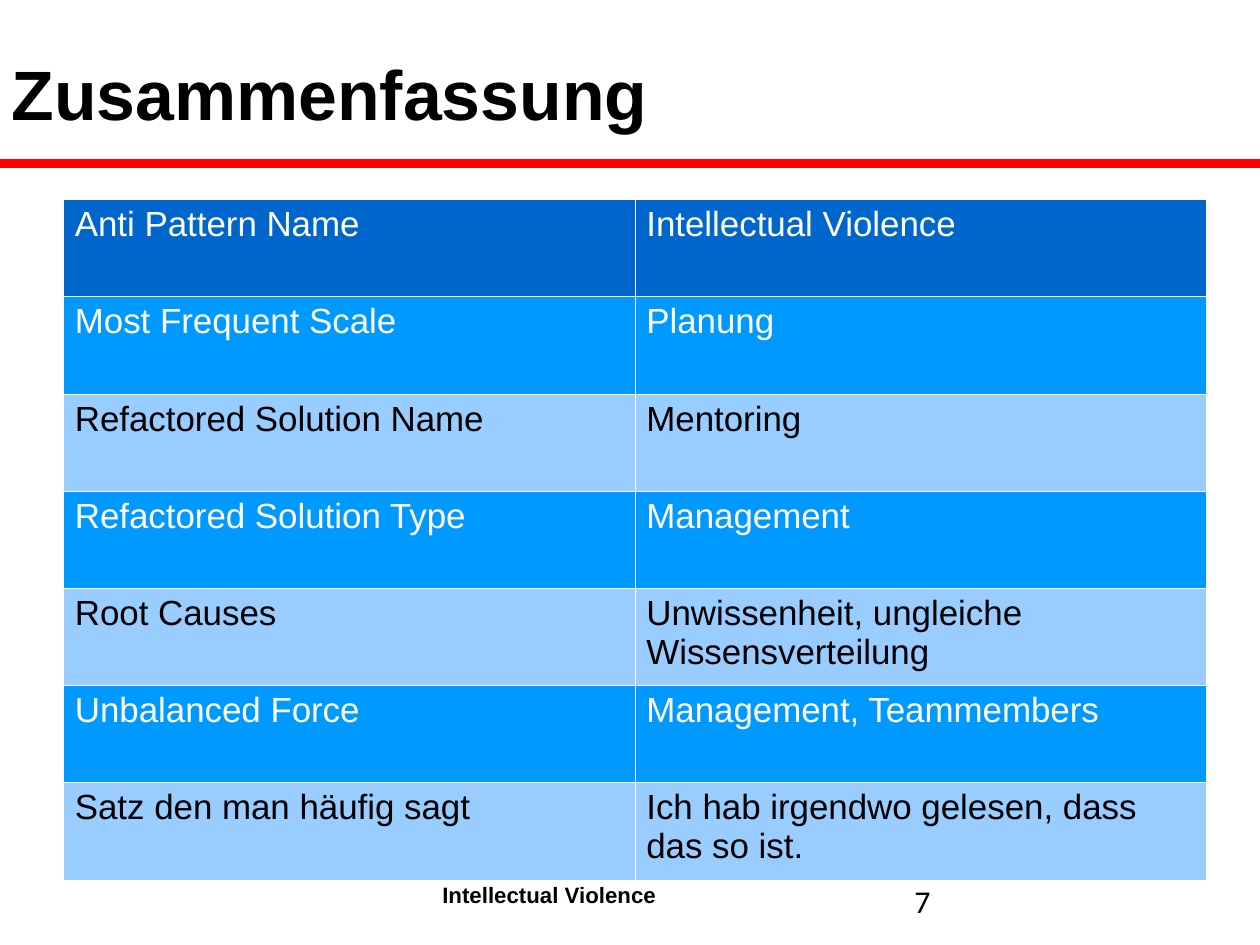
from dataclasses import dataclass

from lxml.etree import SubElement
from pptx import Presentation
from pptx.dml.color import RGBColor
from pptx.enum.shapes import MSO_SHAPE
from pptx.enum.text import MSO_ANCHOR, PP_ALIGN
from pptx.oxml import parse_xml
from pptx.oxml.ns import nsdecls, qn
from pptx.util import Cm, Pt


@dataclass(frozen=True)
class Theme:
    black: str = "000000"
    white: str = "FFFFFF"
    rule: str = "FF0000"
    header: str = "0066CC"
    dark_band: str = "0099FF"
    light_band: str = "99CCFF"
    text_font: str = "Arial"
    number_font: str = "Calibri"
    title_size: int = 44
    cell_size: int = 22
    number_size: int = 20
    footer_size: int = 14


theme = Theme()


def write(frame, text, size, color, bold=False, name=theme.text_font):
    frame.word_wrap = True
    frame.text = text
    para = frame.paragraphs[0]
    para.alignment = PP_ALIGN.LEFT
    para.font.size = Pt(size)
    para.font.bold = bold
    para.font.name = name
    para.font.color.rgb = RGBColor.from_string(color)


def add_borders(cell, color):
    properties = cell._tc.get_or_add_tcPr()
    for index, side in enumerate(("lnL", "lnR", "lnT", "lnB")):
        border = parse_xml(f'<a:{side} {nsdecls("a")} w="762"/>')
        fill = SubElement(border, qn("a:solidFill"))
        SubElement(fill, qn("a:srgbClr"), val=color)
        properties.insert(index, border)


deck = Presentation()
deck.slide_width, deck.slide_height = Cm(28), Cm(21)
page = deck.slides.add_slide(deck.slide_layouts[5])

title = page.shapes.title
title.left, title.top, title.width, title.height = Cm(0), Cm(0.84), Cm(25.2), Cm(3.5)
title.text_frame.vertical_anchor = MSO_ANCHOR.TOP
title.text_frame.margin_top = Cm(0.29)
write(title.text_frame, "Zusammenfassung", theme.title_size, theme.black, True)

rule = page.shapes.add_shape(MSO_SHAPE.RECTANGLE, Cm(0), Cm(3.56), Cm(28), Cm(0.13))
rule.shadow.inherit = False
rule.fill.solid()
rule.fill.fore_color.rgb = RGBColor.from_string(theme.rule)
rule.line.color.rgb = RGBColor.from_string(theme.rule)
rule.line.width = Pt(2)

number = page.shapes.add_textbox(Cm(20.07), Cm(19.46), Cm(6.53), Cm(1.12))
write(number.text_frame, "7", theme.number_size, theme.black, name=theme.number_font)

footer = page.shapes.add_textbox(Cm(9.58), Cm(19.46), Cm(8.86), Cm(1.12))
write(footer.text_frame, "Intellectual Violence", theme.footer_size, theme.black, True)

summary = [
    ("Anti Pattern Name", "Intellectual Violence"),
    ("Most Frequent Scale", "Planung"),
    ("Refactored Solution Name", "Mentoring"),
    ("Refactored Solution Type", "Management"),
    ("Root Causes", "Unwissenheit, ungleiche Wissensverteilung"),
    ("Unbalanced Force", "Management, Teammembers"),
    ("Satz den man häufig sagt", "Ich hab irgendwo gelesen, dass das so ist."),
]
table = page.shapes.add_table(
    len(summary), 2, Cm(1.41), Cm(4.43), Cm(25.4), Cm(15.12)
).table
for row_index, texts in enumerate(summary):
    if row_index == 0:
        band, color = theme.header, theme.white
    elif row_index % 2:
        band, color = theme.dark_band, theme.white
    else:
        band, color = theme.light_band, theme.black
    for column_index, text in enumerate(texts):
        cell = table.cell(row_index, column_index)
        cell.fill.solid()
        cell.fill.fore_color.rgb = RGBColor.from_string(band)
        write(cell.text_frame, text, theme.cell_size, color)
        add_borders(cell, theme.white)

deck.save("out.pptx")
